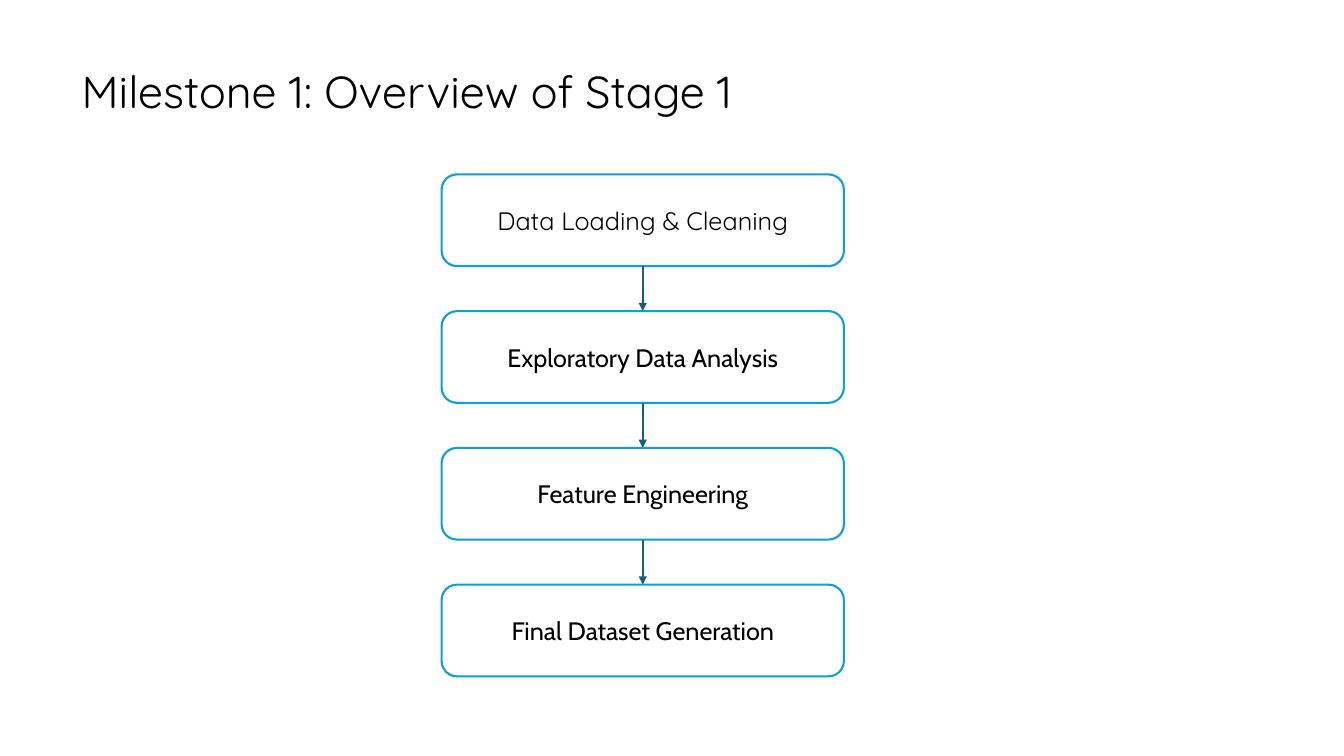
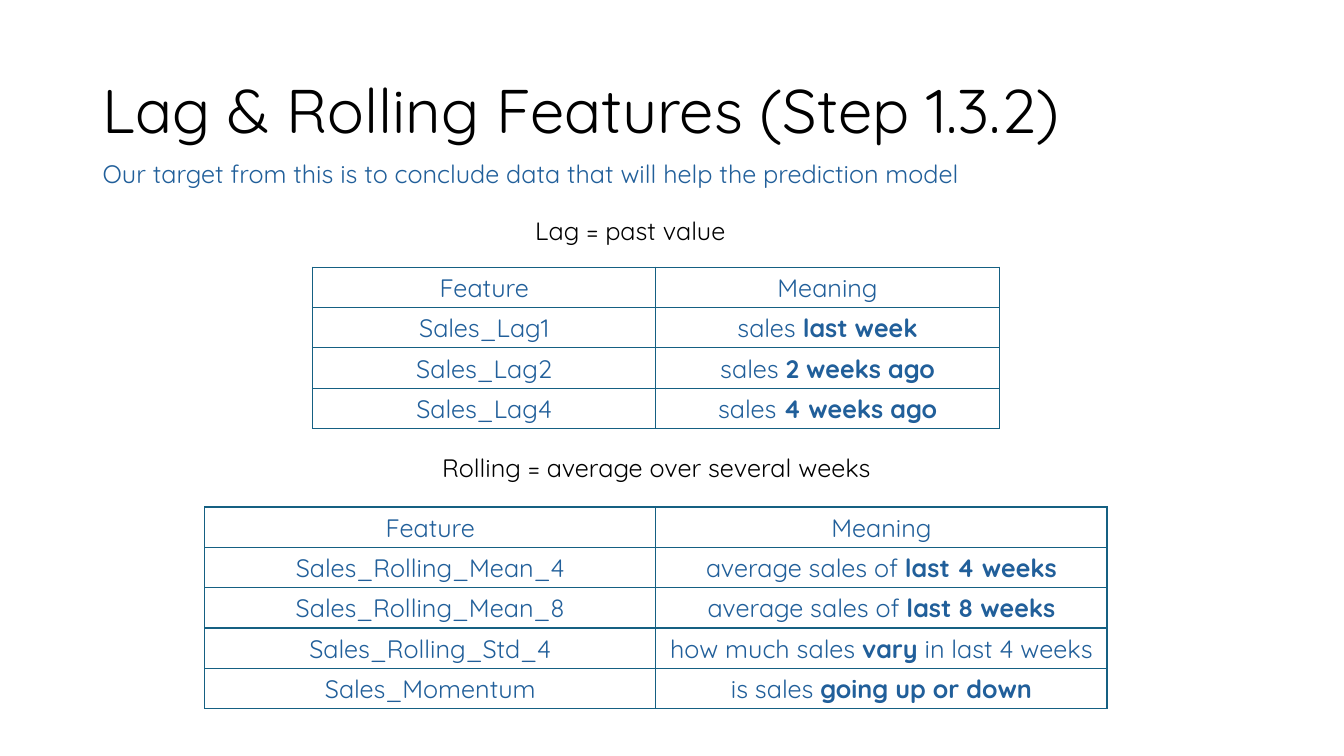
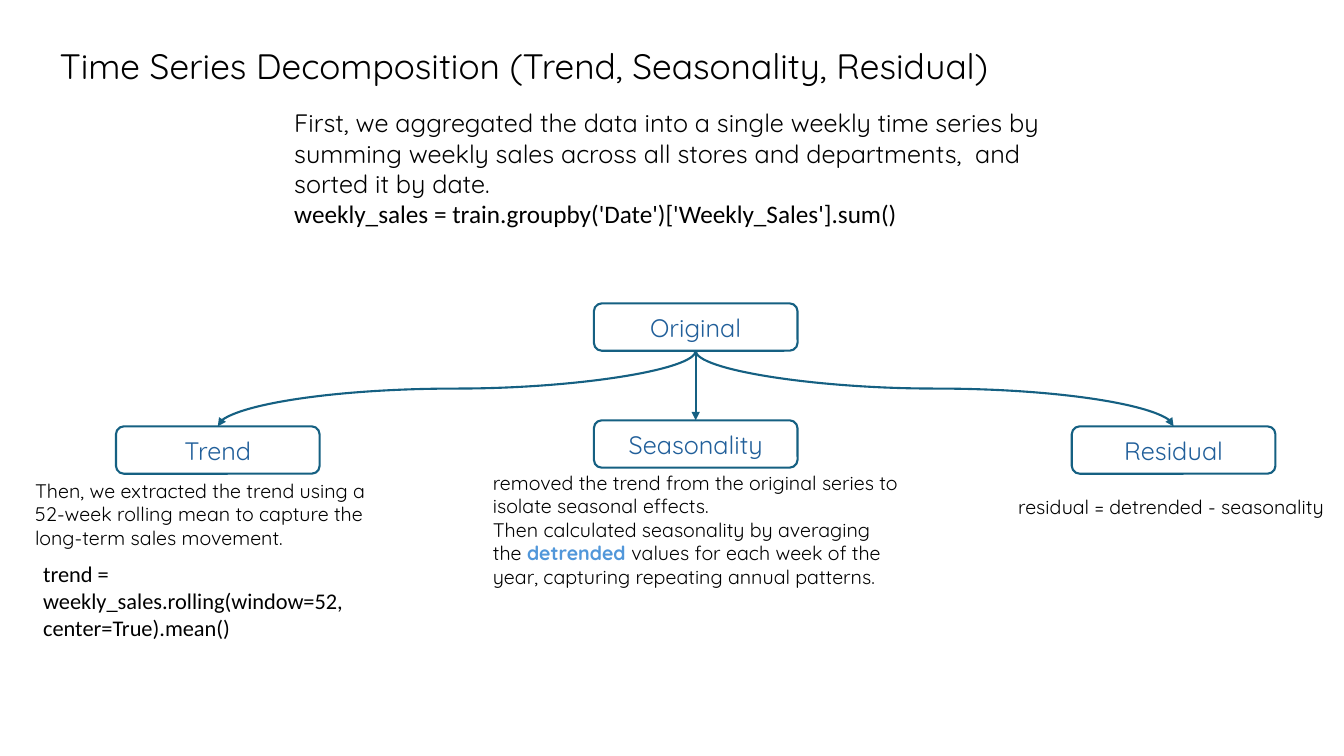
import pptx
import pptx.util
import pptx.dml.color
import pptx.enum.shapes
import pptx.enum.text
import pptx.oxml
import pptx.oxml.ns
from lxml import etree

Inches = pptx.util.Inches
Pt = pptx.util.Pt
qn = pptx.oxml.ns.qn
ALIGN = pptx.enum.text.PP_ALIGN
ANCHOR = pptx.enum.text.MSO_ANCHOR
FIT = pptx.enum.text.MSO_AUTO_SIZE
SHAPE = pptx.enum.shapes.MSO_SHAPE
CONNECTOR = pptx.enum.shapes.MSO_CONNECTOR

# Shared look
BLACK, WHITE = "000000", "FFFFFF"
BLUE, TEAL, CYAN, LIGHT_BLUE = "215F9A", "156082", "0F9ED5", "5197DA"
HEAD_FONT, BOX_FONT, CODE_FONT = "Quicksand", "Cabin", "Calibri"
TOP, BOTTOM = 0, 2  # connection sites
LINE_WIDTH = 1.5
BODY = dict(name=HEAD_FONT, size=Pt(18), bold=False, color=BLACK)
LABEL = dict(BODY, color=BLUE)
SMALL = dict(BODY, size=Pt(14))
BOLD = dict(bold=True)


def rgb(value):
    return pptx.dml.color.RGBColor.from_string(value)


def set_font(font, fmt):
    for key, value in fmt.items():
        if key == "color":
            font.color.rgb = rgb(value)
        else:
            setattr(font, key, value)


def write(tf, paragraphs, fmt, **para):
    """Each paragraph is a string or a list of strings and (text, format) pairs."""
    for i, runs in enumerate(paragraphs):
        p = tf.paragraphs[0] if i == 0 else tf.add_paragraph()
        for key, value in para.items():
            setattr(p, key, value)
        for run in [runs] if isinstance(runs, str) else runs:
            text, extra = (run, {}) if isinstance(run, str) else run
            r = p.add_run()
            r.text = text
            set_font(r.font, {**fmt, **extra})


def add_slide(prs, title, box, size, **para):
    s = prs.slides.add_slide(prs.slide_layouts[5])
    sp = s.shapes.title
    sp.left, sp.top, sp.width, sp.height = map(Inches, box)
    tf = sp.text_frame
    tf.word_wrap, tf.auto_size = True, FIT.NONE
    tf.vertical_anchor = ANCHOR.MIDDLE
    style = dict(alignment=ALIGN.LEFT, line_spacing=0.9)
    write(tf, [title], dict(BODY, size=Pt(size)), **{**style, **para})
    return s


def add_text(s, box, paragraphs, fmt=BODY, align=ALIGN.LEFT):
    tf = s.shapes.add_textbox(*map(Inches, box)).text_frame
    tf.word_wrap, tf.auto_size = True, FIT.SHAPE_TO_FIT_TEXT
    write(tf, paragraphs, fmt, alignment=align)


def add_box(s, box, text, line, fmt):
    sp = s.shapes.add_shape(SHAPE.ROUNDED_RECTANGLE, *map(Inches, box))
    sp.shadow.inherit = False
    sp.fill.solid()
    sp.fill.fore_color.rgb = rgb(WHITE)
    sp.line.color.rgb = rgb(line)
    sp.line.width = Pt(LINE_WIDTH)
    sp.text_frame.word_wrap = True
    sp.text_frame.vertical_anchor = ANCHOR.MIDDLE
    write(sp.text_frame, [text], fmt, alignment=ALIGN.CENTER)
    return sp


def add_arrow(s, upper, lower, kind=CONNECTOR.STRAIGHT):
    """Arrow from the bottom of the upper box to the top of the lower one."""
    cxn = s.shapes.add_connector(kind, 0, 0, 0, 0)
    cxn.begin_connect(upper, BOTTOM)
    cxn.end_connect(lower, TOP)
    cxn.line.color.rgb = rgb(TEAL)
    cxn.line.width = Pt(LINE_WIDTH)
    etree.SubElement(cxn.line._get_or_add_ln(), qn("a:tailEnd"), type="triangle")
    etree.SubElement(cxn._element.spPr, qn("a:effectLst"))
    return cxn


def add_curve(s, upper, lower):
    """Curved arrow, turned a quarter so that it leaves and arrives vertically."""
    cxn = add_arrow(s, upper, lower, CONNECTOR.CURVE)
    x1, y1, x2, y2 = cxn.begin_x, cxn.begin_y, cxn.end_x, cxn.end_y
    rightward = x2 > x1
    across, down = abs(x2 - x1), y2 - y1
    cxn.left, cxn.top = (x1 + x2 - down) // 2, (y1 + y2 - across) // 2
    cxn.width, cxn.height = down, across
    xfrm = cxn._element.spPr.find(qn("a:xfrm"))
    xfrm.set("rot", str((270 if rightward else 90) * 60000))
    xfrm.set("flipH", "1" if rightward else "0")


def set_borders(cell, color, width):
    tcPr = cell._tc.get_or_add_tcPr()
    for side in ("lnL", "lnR", "lnT", "lnB"):
        ln = etree.SubElement(tcPr, qn("a:" + side), w=str(Pt(width)))
        fill = etree.SubElement(ln, qn("a:solidFill"))
        etree.SubElement(fill, qn("a:srgbClr"), val=color)


def add_feature_table(s, left, top, width, features):
    rows = [("Feature", "Meaning")] + features
    row_height = 0.4
    tbl = s.shapes.add_table(len(rows), 2, Inches(left), Inches(top),
                             Inches(width), Inches(row_height * len(rows))).table
    tbl.first_row = tbl.horz_banding = False
    for i, row in enumerate(rows):
        for j, content in enumerate(row):
            cell = tbl.cell(i, j)
            set_borders(cell, TEAL, 1)
            cell.fill.background()
            cell.vertical_anchor = ANCHOR.MIDDLE
            write(cell.text_frame, [content], LABEL, alignment=ALIGN.CENTER)


def overview_slide(prs):
    s = add_slide(prs, "Milestone 1: Overview of Stage 1", (0.71, 0.21, 11.91, 1.45), 32)
    steps = [("Data Loading & Cleaning", HEAD_FONT), ("Exploratory Data Analysis", BOX_FONT),
             ("Feature Engineering", BOX_FONT), ("Final Dataset Generation", BOX_FONT)]
    first, last = 1.73, 5.8
    pitch = (last - first) / (len(steps) - 1)
    boxes = [add_box(s, (4.38, first + i * pitch, 3.99, 0.91), text, CYAN,
                     dict(BODY, name=font))
             for i, (text, font) in enumerate(steps)]
    for upper, lower in zip(boxes, boxes[1:]):
        add_arrow(s, upper, lower)


def features_slide(prs):
    s = add_slide(prs, "Lag & Rolling Features (Step 1.3.2)", (0.92, 0.4, 11.5, 1.45), 44)
    add_text(s, (0.92, 1.52, 9.39, 0.4),
             ["Our target from this is to conclude data that will help the prediction model"],
             LABEL)

    # Lag features
    add_text(s, (5.21, 2.09, 2.59, 0.4), ["Lag = past value"])
    add_feature_table(s, 3.1, 2.65, 6.81, [
        ("Sales_Lag1", ["sales ", ("last week", BOLD)]),
        ("Sales_Lag2", ["sales ", ("2 weeks ago", BOLD)]),
        ("Sales_Lag4", ["sales ", ("4 weeks ago", BOLD)]),
    ])

    # Rolling features
    add_text(s, (3.52, 4.44, 5.98, 0.4), ["Rolling = average over several weeks"],
             align=ALIGN.CENTER)
    add_feature_table(s, 2.03, 5.03, 8.95, [
        ("Sales_Rolling_Mean_4", ["average sales of ", ("last 4 weeks", BOLD)]),
        ("Sales_Rolling_Mean_8", ["average sales of ", ("last 8 weeks", BOLD)]),
        ("Sales_Rolling_Std_4", ["how much sales ", ("vary", BOLD), " in last 4 weeks"]),
        ("Sales_Momentum", ["is sales ", ("going up or down", BOLD)]),
    ])


def decomposition_slide(prs):
    s = add_slide(prs, "Time Series Decomposition (Trend, Seasonality, Residual)",
                  (0.49, -0.01, 11.5, 0.64), 25.2,
                  alignment=ALIGN.JUSTIFY, line_spacing=2.6)

    # Tree of components
    places = [("Original", 5.89, 3.01), ("Trend", 1.15, 4.23),
              ("Seasonality", 5.89, 4.17), ("Residual", 10.63, 4.23)]
    source, trend, seasonality, residual = [
        add_box(s, (left, top, 2.02, 0.47), text, TEAL, LABEL)
        for text, left, top in places]
    add_curve(s, source, trend)
    add_curve(s, source, residual)
    add_arrow(s, source, seasonality)

    # Explanations
    add_text(s, (2.82, 1.02, 8.16, 1.62), [
        "First, we aggregated the data into a single weekly time series by summing weekly "
        "sales across all stores and departments,  and sorted it by date.",
        [("weekly_sales = train.groupby('Date')['Weekly_Sales'].sum()",
          dict(name=CODE_FONT))],
    ])
    add_text(s, (0.25, 4.7, 3.78, 0.81), [
        "Then, we extracted the trend using a 52-week rolling mean to capture the "
        "long-term sales movement."], SMALL)
    add_text(s, (0.33, 5.51, 4.22, 0.91), [
        "trend =", "weekly_sales.rolling(window=52, center=True).mean()"],
        dict(BODY, name=CODE_FONT, size=Pt(16)))
    add_text(s, (4.79, 4.62, 4.22, 1.28), [
        "removed the trend from the original series to isolate seasonal effects.",
        ["Then calculated seasonality by averaging the ",
         ("detrended ", dict(BOLD, color=LIGHT_BLUE)),
         "values for each week of the year, capturing repeating annual patterns."],
    ], SMALL)
    add_text(s, (10, 4.86, 3.45, 0.34), ["residual = detrended - seasonality"], SMALL)


def main():
    prs = pptx.Presentation()
    prs.slide_width, prs.slide_height = Inches(13.33), Inches(7.5)
    overview_slide(prs)
    features_slide(prs)
    decomposition_slide(prs)
    prs.save("out.pptx")


if __name__ == "__main__":
    main()
